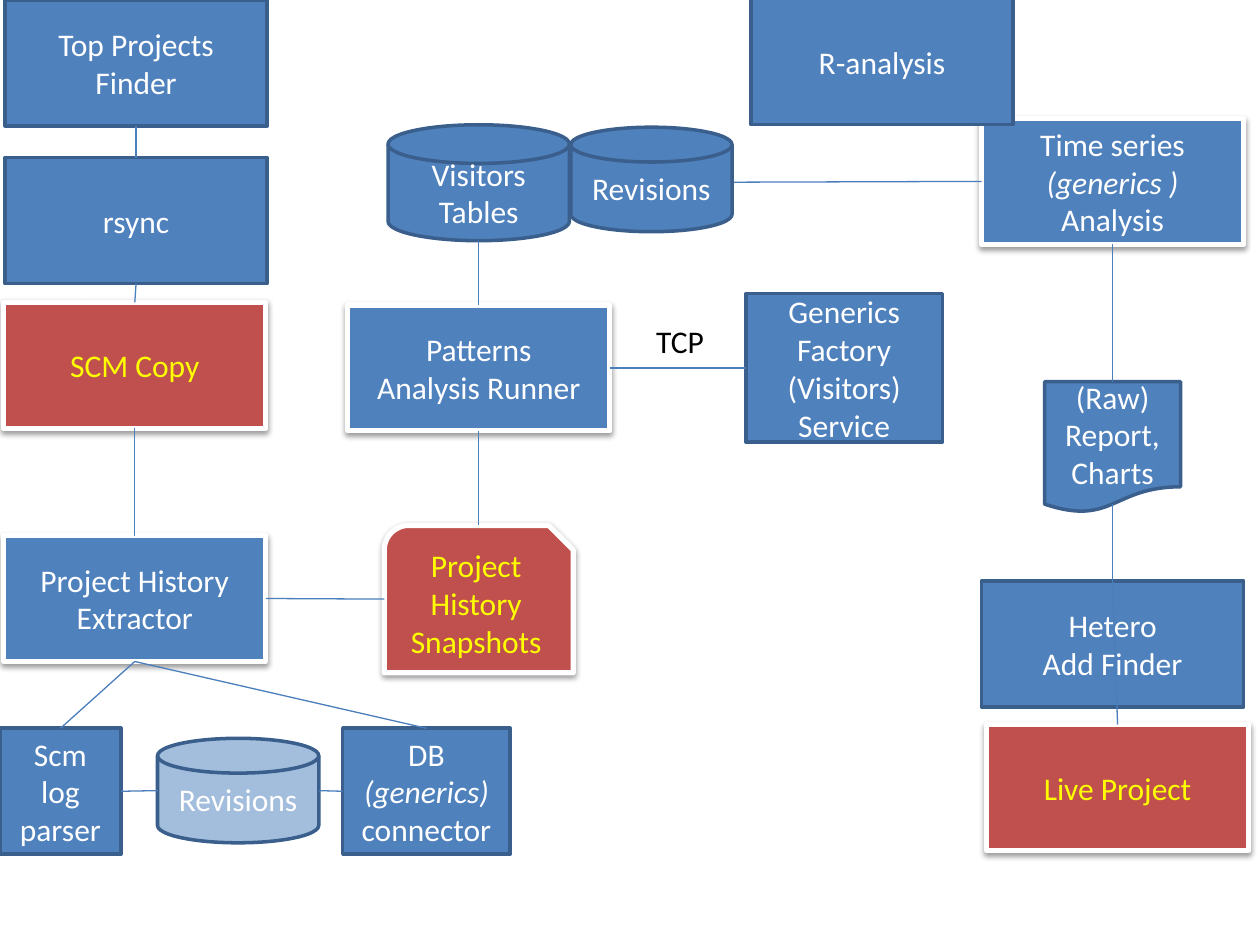
from pptx import Presentation
from pptx.dml.color import RGBColor
from pptx.enum.shapes import MSO_CONNECTOR, MSO_SHAPE as Preset
from pptx.enum.text import MSO_ANCHOR, MSO_AUTO_SIZE, PP_ALIGN
from pptx.oxml import parse_xml
from pptx.oxml.ns import nsdecls, qn
from pptx.util import Inches, Pt

COLORS = {
    "blue": "4F81BD", "blue_edge": "3A5F8C", "link": "4B7EBC",
    "red": "C0504D", "white": "FFFFFF", "yellow": "FFFF00", "black": "000000",
}
# One grid cell is a hundredth of the slide's width, in both directions
CELL = Inches(0.1)
BOX = (20.8, 10)
DISK = (12.8, 8.3)
# Link ends as shares of a node's width and height
TOP, LEFT, BOTTOM, RIGHT = (0.5, 0), (0, 0.5), (0.5, 1), (1, 0.5)
WAVE = (0.5, 0.93)


def color(name):
    return RGBColor.from_string(COLORS[name])


def cells(count):
    return round(count * CELL)


def write(frame, paragraphs, ink, align=None):
    """Each paragraph is a list of runs; a run marked with * is italic."""
    for index, runs in enumerate(paragraphs):
        paragraph = frame.paragraphs[0] if index == 0 else frame.add_paragraph()
        paragraph.alignment = align
        for text in runs:
            run = paragraph.add_run()
            run.text = text.strip("*")
            run.font.size = Pt(18)
            run.font.name = "Calibri"
            run.font.italic = text.startswith("*")
            run.font.color.rgb = color(ink)


def add_shadow(shape):
    effects = shape._element.spPr.find(qn("a:effectLst"))
    effects.append(parse_xml(
        f'<a:outerShdw {nsdecls("a")} blurRad="40000" dist="20000" dir="5400000" '
        'rotWithShape="0"><a:srgbClr val="000000"><a:alpha val="38000"/>'
        '</a:srgbClr></a:outerShdw>'))


def add_node(slide, region, place, size, paragraphs, preset=Preset.RECTANGLE,
             fill="blue", raised=False, opacity=None):
    left, top = (start + offset for start, offset in zip(region, place))
    shape = slide.shapes.add_shape(preset, *map(cells, (left, top, *size)))
    shape.shadow.inherit = False
    shape.fill.solid()
    shape.fill.fore_color.rgb = color(fill)
    shape.line.color.rgb = color("white" if raised else "blue_edge")
    shape.line.width = Pt(3 if raised else 2)
    if raised:
        add_shadow(shape)
    if opacity:
        tint = shape._element.spPr.find(qn("a:solidFill"))[0]
        tint.append(parse_xml(f'<a:alpha {nsdecls("a")} val="{opacity * 1000}"/>'))
    frame = shape.text_frame
    frame.word_wrap = True
    frame.vertical_anchor = MSO_ANCHOR.MIDDLE
    write(frame, paragraphs, "yellow" if fill == "red" else "white", PP_ALIGN.CENTER)
    return shape


def add_link(slide, start, start_side, end, end_side):
    points = []
    for shape, (across, down) in ((start, start_side), (end, end_side)):
        points += [round(shape.left + across * shape.width),
                   round(shape.top + down * shape.height)]
    link = slide.shapes.add_connector(MSO_CONNECTOR.STRAIGHT, *points)
    link.line.color.rgb = color("link")
    link.line.width = Pt(0.75)
    link._element.spPr.append(parse_xml(f'<a:effectLst {nsdecls("a")}/>'))


def build_reporting(slide, region):
    """Right side: from time series to the live project."""
    series = add_node(slide, region, (18.3, 9.4), BOX,
                      [["Time series"], ["*(generics )*"], ["Analysis"]], raised=True)
    add_node(slide, region, (0, -0.1), BOX, [["R-analysis"]])
    finder = add_node(slide, region, (18.3, 46.1), BOX, [["Hetero"], ["Add Finder"]])
    live = add_node(slide, region, (18.7, 57.5), BOX, [["Live Project"]],
                    fill="red", raised=True)
    report = add_node(slide, region, (23.3, 30.3), (10.8, 10.4),
                      [["(Raw)"], ["Report,"], ["Charts"]], Preset.FLOWCHART_DOCUMENT)
    add_link(slide, series, BOTTOM, report, TOP)
    add_link(slide, live, TOP, finder, TOP)
    add_link(slide, finder, TOP, report, WAVE)
    return series


def build_extraction(slide, region):
    """Left side: from finding projects to reading their history."""
    top_finder = add_node(slide, region, (0.4, 0), BOX, [["Top Projects"], ["Finder"]])
    rsync = add_node(slide, region, (0.4, 12.5), BOX, [["rsync"]])
    scm_copy = add_node(slide, region, (0.3, 24), BOX, [["SCM Copy"]],
                        fill="red", raised=True)
    extractor = add_node(slide, region, (0.3, 42.5), BOX,
                         [["Project History"], ["Extractor"]], raised=True)
    parser = add_node(slide, region, (0, 57.8), (9.6, 10), [["Scm log parser"]])
    database = add_node(slide, region, (27.2, 57.8), (13.3, 10),
                        [["DB ", "*(generics)*", " connector"]])
    revisions = add_node(slide, region, (12.5, 58.6), DISK, [["Revisions"]],
                         Preset.FLOWCHART_MAGNETIC_DISK, opacity=52)
    for ends in ((rsync, TOP, top_finder, BOTTOM), (scm_copy, TOP, rsync, BOTTOM),
                 (extractor, TOP, scm_copy, BOTTOM), (extractor, BOTTOM, parser, TOP),
                 (extractor, BOTTOM, database, TOP), (revisions, LEFT, parser, RIGHT),
                 (revisions, RIGHT, database, LEFT)):
        add_link(slide, *ends)
    return extractor


def build_analysis(slide, region, series, extractor):
    """Middle: snapshots, pattern runner and result tables."""
    visitors = add_node(slide, region, (3.8, 0), (14.4, 9.2), [["Visitors"], ["Tables"]],
                        Preset.FLOWCHART_MAGNETIC_DISK)
    runner = add_node(slide, region, (0.6, 14.3), BOX,
                      [["Patterns"], ["Analysis Runner"]], raised=True)
    factory = add_node(slide, region, (32.2, 13.4), (15.6, 11.8),
                       [["Generics Factory (Visitors)"], ["Service"]])
    add_link(slide, visitors, RIGHT, series, LEFT)
    add_link(slide, runner, TOP, visitors, BOTTOM)
    add_link(slide, runner, RIGHT, factory, LEFT)
    # The later nodes cover the links they sit on
    add_node(slide, region, (18.3, 0.2), DISK, [["Revisions"]],
             Preset.FLOWCHART_MAGNETIC_DISK)
    snapshots = add_node(slide, region, (3.5, 31.8), (15, 11.7),
                         [["Project History Snapshots"]], Preset.SNIP_ROUND_RECTANGLE,
                         fill="red", raised=True)
    add_link(slide, snapshots, TOP, runner, BOTTOM)
    add_link(slide, snapshots, LEFT, extractor, RIGHT)
    # Protocol label above the factory link
    label = slide.shapes.add_textbox(cells(region[0] + 24.1), cells(region[1] + 15.2),
                                     cells(5.8), cells(4))
    label.text_frame.word_wrap = False
    label.text_frame.auto_size = MSO_AUTO_SIZE.SHAPE_TO_FIT_TEXT
    write(label.text_frame, [["TCP"]], "black")


presentation = Presentation()
presentation.slide_width = Inches(10)
presentation.slide_height = Inches(7.5)
slide = presentation.slides.add_slide(presentation.slide_layouts[6])
time_series = build_reporting(slide, (59.6, 0))
history_extractor = build_extraction(slide, (0, 0))
build_analysis(slide, (27, 9.9), time_series, history_extractor)
presentation.save("out.pptx")
